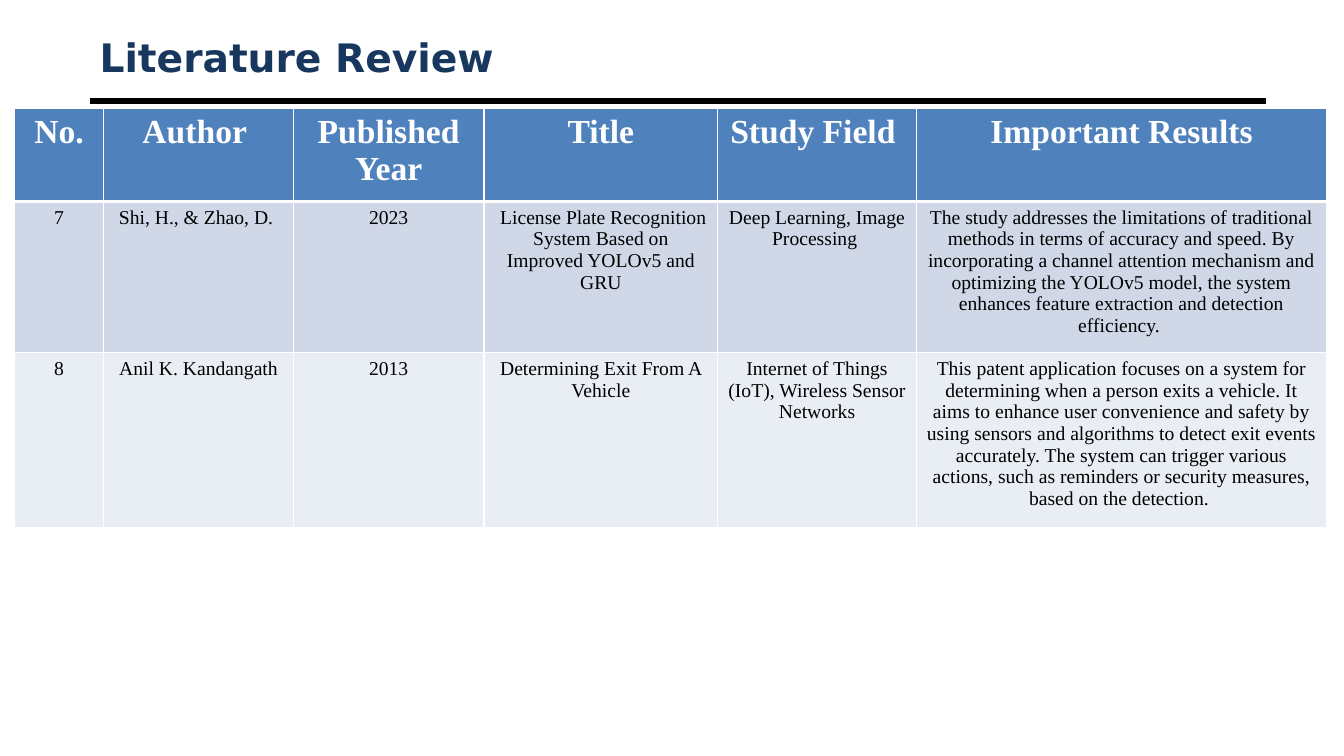
from lxml import etree
from pptx import Presentation
from pptx.dml.color import RGBColor
from pptx.enum.shapes import MSO_CONNECTOR
from pptx.enum.text import MSO_ANCHOR, PP_ALIGN
from pptx.oxml.ns import qn
from pptx.util import Pt

PX = 9144  # 100 px to the inch
LINE = MSO_CONNECTOR.STRAIGHT
MIDDLE = MSO_ANCHOR.MIDDLE
LEFT, CENTER = PP_ALIGN.LEFT, PP_ALIGN.CENTER

THEME = {
    "title": {"name": "DejaVu Sans", "size": Pt(28), "bold": True, "color": "17375E"},
    "head": {"name": "Times New Roman", "size": Pt(24), "bold": True, "color": "FFFFFF"},
    "body": {"name": "Times New Roman", "size": Pt(14), "bold": False, "color": "000000"},
    "fills": ["4F81BD", "D0D8E8", "E9EDF4"],
    "rule": "000000",
    "grid": "FFFFFF",
}


def write(frame, text, style, align):
    para = frame.paragraphs[0]
    para.alignment = align
    run = para.add_run()
    run.text = text
    for key, value in THEME[style].items():
        if key == "color":
            run.font.color.rgb = RGBColor.from_string(value)
        else:
            setattr(run.font, key, value)


def edge(cell, side, points):
    line = etree.SubElement(cell._tc.get_or_add_tcPr(), qn("a:ln" + side), w=str(Pt(points)))
    fill = etree.SubElement(line, qn("a:solidFill"))
    etree.SubElement(fill, qn("a:srgbClr"), val=THEME["grid"])


deck = Presentation()
deck.slide_width, deck.slide_height = 1333 * PX, 750 * PX
slide = deck.slides.add_slide(deck.slide_layouts[6])
shapes = slide.shapes

# Rule under the title
rule = shapes.add_connector(LINE, 89 * PX, 100 * PX, 1256 * PX, 100 * PX)
rule.line.color.rgb = RGBColor.from_string(THEME["rule"])
rule.line.width = Pt(4.5)
etree.SubElement(rule._element.spPr, qn("a:effectLst"))

# Title
title = shapes.add_textbox(89 * PX, 30 * PX, 1167 * PX, 53 * PX)
title.text_frame.word_wrap = True
title.text_frame.vertical_anchor = MIDDLE
write(title.text_frame, "Literature Review", "title", LEFT)

# Table of studies
ROWS = [
    ["No.", "Author ", "Published Year", "Title", "Study Field ", "Important Results"],
    [
        "7", "Shi, H., & Zhao, D. ", "2023",
        " License Plate Recognition System Based on Improved YOLOv5 and GRU",
        "Deep Learning, Image Processing ",
        "The study addresses the limitations of traditional methods in terms of accuracy "
        "and speed. By incorporating a channel attention mechanism and optimizing the "
        "YOLOv5 model, the system enhances feature extraction and detection efficiency. ",
    ],
    [
        "8", "Anil K. Kandangath", "2013",
        "Determining Exit From A Vehicle",
        "Internet of Things (IoT), Wireless Sensor Networks",
        "This patent application focuses on a system for determining when a person exits "
        "a vehicle. It aims to enhance user convenience and safety by using sensors and "
        "algorithms to detect exit events accurately. The system can trigger various "
        "actions, such as reminders or security measures, based on the detection. ",
    ],
]
WIDTHS = [89, 188, 189, 232, 197, 407]
HEIGHTS = [92, 139, 160]

frame = shapes.add_table(len(ROWS), len(WIDTHS), 14 * PX, 108 * PX,
                         sum(WIDTHS) * PX, sum(HEIGHTS) * PX)
table = frame.table
for col, width in zip(table.columns, WIDTHS):
    col.width = width * PX
for row, height in zip(table.rows, HEIGHTS):
    row.height = height * PX

for r, texts in enumerate(ROWS):
    for c, text in enumerate(texts):
        cell = table.cell(r, c)
        write(cell.text_frame, text, "body" if r else "head", CENTER)
        # The line below the header is thicker
        for side in "LRTB":
            thick = (r, side) in [(0, "B"), (1, "T")]
            edge(cell, side, 3 if thick else 1)
        cell.fill.solid()
        cell.fill.fore_color.rgb = RGBColor.from_string(THEME["fills"][r])

deck.save("out.pptx")
